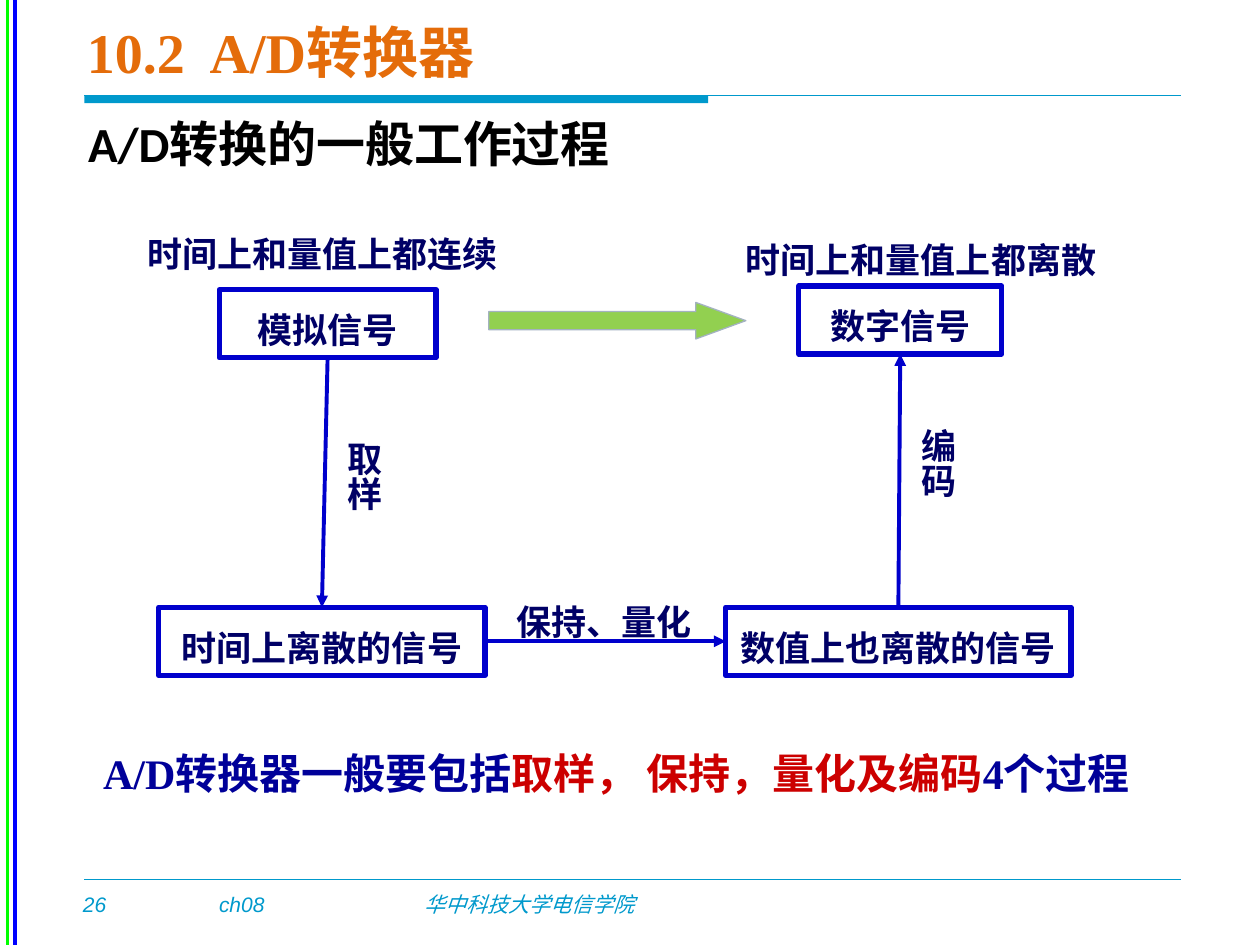
from lxml.etree import SubElement
from pptx import Presentation
from pptx.dml.color import RGBColor
from pptx.enum.shapes import MSO_CONNECTOR, MSO_SHAPE
from pptx.enum.text import MSO_ANCHOR, MSO_AUTO_SIZE, PP_ALIGN
from pptx.oxml.ns import qn
from pptx.util import Inches, Pt

COLS, ROWS = 100, 75
CELL = Inches(0.1)
HAN = "Noto Sans CJK SC"
HUES = {
    "green": "00FF00", "blue": "0000FF", "teal": "0099CC", "title": "E46C0A",
    "black": "000000", "ink": "000066", "edge": "0000CC", "navy": "000099",
    "red": "CC0000", "lime": "92D050", "rim": "A3B2C1",
}
LABEL = {"size": Pt(20), "name": HAN, "bold": True}
FOOT = {"size": Pt(12), "name": "Arial", "italic": True}
HEAD = {"size": Pt(32), "name": "Times New Roman", "bold": True}
TOPIC = {"size": Pt(28), "name": "Calibri", "bold": True}
NOTE = {"size": Pt(24), "name": "Times New Roman", "bold": True}
MID = {"alignment": PP_ALIGN.CENTER, "line_spacing": 1.3}


def hue(name):
    """Return the named colour."""
    return RGBColor.from_string(HUES[name])


def apply(target, values):
    """Set each attribute in values on the target."""
    for key, value in values.items():
        setattr(target, key, value)


def place(area, part):
    """Turn a part's cells within an area into slide lengths."""
    x, y, w, h = part
    return [round(n * CELL) for n in (area[0] + x, area[1] + y, w, h)]


def write(shape, runs, font, para=None, frame=None):
    """Fill a shape with one paragraph of coloured runs."""
    text = shape.text_frame
    base = {"word_wrap": True, "auto_size": MSO_AUTO_SIZE.SHAPE_TO_FIT_TEXT,
            "vertical_anchor": MSO_ANCHOR.TOP}
    apply(text, base | (frame or {}))
    line = text.paragraphs[0]
    apply(line, {"alignment": PP_ALIGN.LEFT} | (para or {}))
    for words, tint in runs:
        run = line.add_run()
        run.text = words
        apply(run.font, font)
        run.font.color.rgb = hue(tint)
        SubElement(run.font._element, qn("a:ea"), typeface=HAN)
    return line


def label(slide, area, part, runs, font, para=None, frame=None):
    """Add a text box and return it with its paragraph."""
    box = slide.shapes.add_textbox(*place(area, part))
    return box, write(box, runs, font, para, frame)


def block(slide, area, part, kind, fill, edge, width):
    """Add a preset shape with its fill and outline."""
    shape = slide.shapes.add_shape(kind, *place(area, part))
    shape.shadow.inherit = False
    if fill:
        shape.fill.solid()
        shape.fill.fore_color.rgb = hue(fill)
    else:
        shape.fill.background()
    shape.line.color.rgb = hue(edge)
    shape.line.width = Pt(width)
    return shape


def rule(slide, area, part, tint, width):
    """Add a straight line running across the part's width and height."""
    x, y, w, h = place(area, part)
    line = slide.shapes.add_connector(MSO_CONNECTOR.STRAIGHT, x, y, x + w, y + h)
    line.line.color.rgb = hue(tint)
    line.line.width = Pt(width)
    SubElement(line._element.spPr, qn("a:effectLst"))
    return line


def link(slide, start, out, end, into):
    """Join two boxes with an arrow between the given sides."""
    line = rule(slide, (0, 0), (0, 0, 1, 1), "edge", 2.25)
    line.begin_connect(start, out)
    line.end_connect(end, into)
    SubElement(line.line._get_or_add_ln(), qn("a:tailEnd"), type="triangle")


def margin(slide, area):
    """Draw the two upright lines at the left edge."""
    for x, tint in ((1.2, "blue"), (0.6, "green")):
        rule(slide, area, (x, 0, 0, area[3]), tint, 2)


def header(slide, area):
    """Draw the title, its bar and the topic."""
    rule(slide, area, (0.8, 7.1, 87, 0), "teal", 0.5)
    bar = block(slide, area, (0.8, 7.1, 49.5, 0.6), MSO_SHAPE.RECTANGLE,
                "teal", "teal", 1)
    bar.line.fill.background()
    label(slide, area, (0, 0, 72.1, 7.1), [("10.2  A/D转换器", "title")], HEAD,
          frame={"vertical_anchor": MSO_ANCHOR.MIDDLE,
                 "auto_size": MSO_AUTO_SIZE.NONE})
    label(slide, area, (0.1, 8, 90.8, 5.7),
          [("A/D转换的一般工作过程", "black")], TOPIC)


def flow(slide, area):
    """Draw the four signal stages and the steps between them."""
    stages = (
        ("模拟信号", (6.8, 6, 17.2, 5.4)),
        ("时间上离散的信号", (2, 31.2, 25.9, 5.4)),
        ("数值上也离散的信号", (47, 31.2, 27.4, 5.4)),
        ("数字信号", (52.8, 5.7, 16.1, 5.4)),
    )
    boxes = []
    for words, part in stages:
        box = block(slide, area, part, MSO_SHAPE.RECTANGLE, None, "edge", 3)
        write(box, [(words, "ink")], LABEL, MID)
        boxes.append(box)
    for first, (out, into) in enumerate(((2, 0), (3, 1), (0, 2))):
        link(slide, boxes[first], out, boxes[first + 1], into)
    for words, part in (("时间上和量值上都连续", (0, 0, 30, 5.3)),
                        ("时间上和量值上都离散", (47.5, 0.4, 30, 5.3))):
        label(slide, area, part, [(words, "ink")], LABEL, MID,
              {"word_wrap": False})
    for words, part in (("取样", (15, 17.1, 6.4, 7.6)),
                        ("编码", (60.4, 16, 6.6, 7.8))):
        box, _ = label(slide, area, part, [(words, "ink")], LABEL, MID)
        box._element.txBody.bodyPr.set("vert", "eaVert")
    label(slide, area, (26.4, 29.2, 21.9, 5.6), [("保持、量化", "ink")], LABEL,
          MID, {"margin_left": 0, "margin_right": 0})
    arrow = block(slide, area, (28.2, 7, 20.4, 2.9), MSO_SHAPE.RIGHT_ARROW,
                  "lime", "rim", 0.75)
    arrow.adjustments[0], arrow.adjustments[1] = 0.5, 1.37


def note(slide, area):
    """Write the closing sentence."""
    runs = (("A/D转换器一般要包括", "navy"), ("取样， 保持，量化及编码", "red"),
            ("4个过程", "navy"))
    _, line = label(slide, area, (0, 0, *area[2:]), runs, NOTE,
                    {"alignment": PP_ALIGN.JUSTIFY, "line_spacing": 1.5})
    line._p.get_or_add_pPr().set("indent", str(Inches(0.33)))


def footer(slide, area):
    """Draw the bottom line and the three footer texts."""
    rule(slide, area, (1.1, 0, 87, 0), "teal", 1)
    for words, x, w in (("26", 0, 4.1), ("ch08", 10.8, 8),
                        ("华中科技大学电信学院", 27.1, 26.5)):
        label(slide, area, (x, 0.5, w, 3), [(words, "teal")], FOOT)


def main():
    """Build the slide and save it."""
    deck = Presentation()
    deck.slide_width, deck.slide_height = COLS * CELL, ROWS * CELL
    slide = deck.slides.add_slide(deck.slide_layouts[6])
    margin(slide, (0, 0, COLS, ROWS))
    header(slide, (5.9, 0.5, 90.9, 13.7))
    flow(slide, (10.6, 17, 77.5, 36.6))
    note(slide, (3.9, 56.8, 92.1, 7.1))
    footer(slide, (5.6, 69.8, 88.1, 3.5))
    deck.save("out.pptx")


if __name__ == "__main__":
    main()
